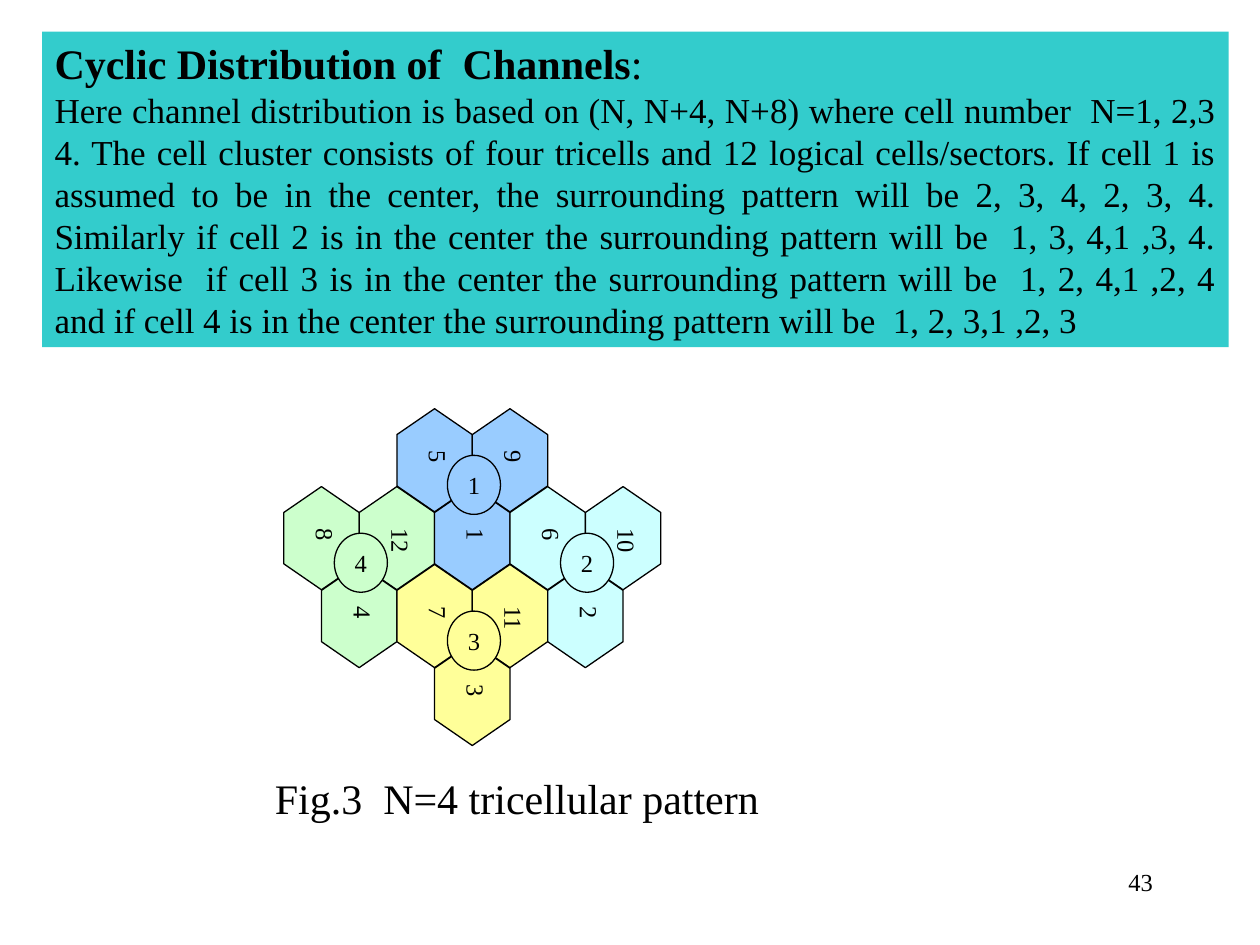
from pptx import Presentation
from pptx.dml.color import RGBColor
from pptx.enum.shapes import MSO_SHAPE as Preset
from pptx.enum.text import MSO_ANCHOR as Anchor, MSO_AUTO_SIZE as AutoSize, PP_ALIGN as Align
from pptx.util import Cm, Pt

BLACK = RGBColor(0x00, 0x00, 0x00)
TEAL = RGBColor(0x33, 0xCC, 0xCC)
GREEN = RGBColor(0xCC, 0xFF, 0xCC)
BLUE = RGBColor(0x99, 0xCC, 0xFF)
YELLOW = RGBColor(0xFF, 0xFF, 0x99)
CYAN = RGBColor(0xCC, 0xFF, 0xFF)

CELL_LENGTH, CELL_WIDTH = 2.08, 1.52
BADGE_WIDTH, BADGE_HEIGHT = 1.07, 1.19
ROW_STEP = 1.57
PATTERN_LEFT, PATTERN_TOP = 5.44, 8.52

CLUSTERS = [
    (0, 1, GREEN, "4", ("8", "12", "4")),
    (1, 0, BLUE, "1", ("5", "9", "1")),
    (1, 2, YELLOW, "3", ("7", "11", "3")),
    (2, 1, CYAN, "2", ("6", "10", "2")),
]
CELL_OFFSETS = [(0, 0), (CELL_WIDTH, 0), (CELL_WIDTH / 2, ROW_STEP)]

RULE = (
    "Here channel distribution is based on (N, N+4, N+8) where cell number  N=1, 2,3 4. "
    "The cell cluster consists of four tricells and 12 logical cells/sectors. "
    "If cell 1 is assumed to be in the center, the surrounding pattern will be 2, 3, 4, 2, 3, 4. "
    "Similarly if cell 2 is in the center the surrounding pattern will be  1, 3, 4,1 ,3, 4. "
    "Likewise  if cell 3 is in the center the surrounding pattern will be  1, 2, 4,1 ,2, 4 "
    "and if cell 4 is in the center the surrounding pattern will be  1, 2, 3,1 ,2, 3"
)


class ChannelSlide:
    font = "Times New Roman"

    def __init__(self, deck):
        self.page = deck.slides.add_slide(deck.slide_layouts[6])

    def span(self, para, text, size, bold=False):
        span = para.add_run()
        span.text = text
        span.font.name = self.font
        span.font.size = Pt(size)
        span.font.bold = bold
        span.font.color.rgb = BLACK

    def text(self, left, top, width, height, words, size, align=Align.LEFT):
        box = self.page.shapes.add_textbox(Cm(left), Cm(top), Cm(width), Cm(height))
        box.text_frame.word_wrap = True
        para = box.text_frame.paragraphs[0]
        para.alignment = align
        self.span(para, words, size)

    def shape(self, shapes, preset, left, top, width, height, fill, outlined=True):
        shape = shapes.add_shape(preset, Cm(left), Cm(top), Cm(width), Cm(height))
        shape.shadow.inherit = False
        shape.fill.solid()
        shape.fill.fore_color.rgb = fill
        if outlined:
            shape.line.color.rgb = BLACK
            shape.line.width = Pt(0.75)
        else:
            shape.line.fill.background()
        shape.text_frame.word_wrap = True
        shape.text_frame.vertical_anchor = Anchor.TOP
        shape.text_frame.paragraphs[0].alignment = Align.LEFT
        return shape

    def banner(self, left, top, width, height, title, body):
        box = self.shape(self.page.shapes, Preset.RECTANGLE, left, top, width, height, TEAL, False)
        frame = box.text_frame
        frame.auto_size = AutoSize.SHAPE_TO_FIT_TEXT
        self.span(frame.paragraphs[0], title, 24, True)
        self.span(frame.paragraphs[0], ":", 24)
        para = frame.add_paragraph()
        para.alignment = Align.JUSTIFY
        self.span(para, body, 20)

    def cell(self, group, left, top, fill, label):
        cell = self.shape(group.shapes, Preset.HEXAGON, left, top, CELL_LENGTH, CELL_WIDTH, fill)
        cell.rotation = 90
        cell.adjustments[0] = 0.344
        frame = cell.text_frame
        frame.margin_left, frame.margin_right = Cm(0.5), 0
        self.span(frame.paragraphs[0], label, 14)

    def badge(self, group, left, top, fill, label):
        badge = self.shape(group.shapes, Preset.OVAL, left, top, BADGE_WIDTH, BADGE_HEIGHT, fill)
        frame = badge.text_frame
        frame.margin_left = frame.margin_right = 0
        frame.vertical_anchor = Anchor.MIDDLE
        frame.paragraphs[0].alignment = Align.CENTER
        self.span(frame.paragraphs[0], label, 14)

    def cluster(self, left, top, fill, number, channels):
        group = self.page.shapes.add_group_shape()
        for (across, down), channel in zip(CELL_OFFSETS, channels):
            self.cell(group, left + across, top + down, fill, channel)
        self.badge(group, left + 1.3, top + 0.66, fill, number)


def main():
    deck = Presentation()
    deck.slide_width, deck.slide_height = Cm(25.4), Cm(19.05)
    slide = ChannelSlide(deck)
    slide.text(18.2, 17.36, 5.29, 1.27, "43", 14, Align.RIGHT)
    slide.banner(0.85, 0.64, 23.92, 6.36, "Cyclic Distribution of  Channels", RULE)
    for column, row, fill, number, channels in CLUSTERS:
        left = PATTERN_LEFT + column * 1.5 * CELL_WIDTH
        slide.cluster(left, PATTERN_TOP + row * ROW_STEP, fill, number, channels)
    slide.text(5.29, 15.45, 10.58, 1.27, "Fig.3  N=4 tricellular pattern", 24)
    deck.save("out.pptx")


if __name__ == "__main__":
    main()
